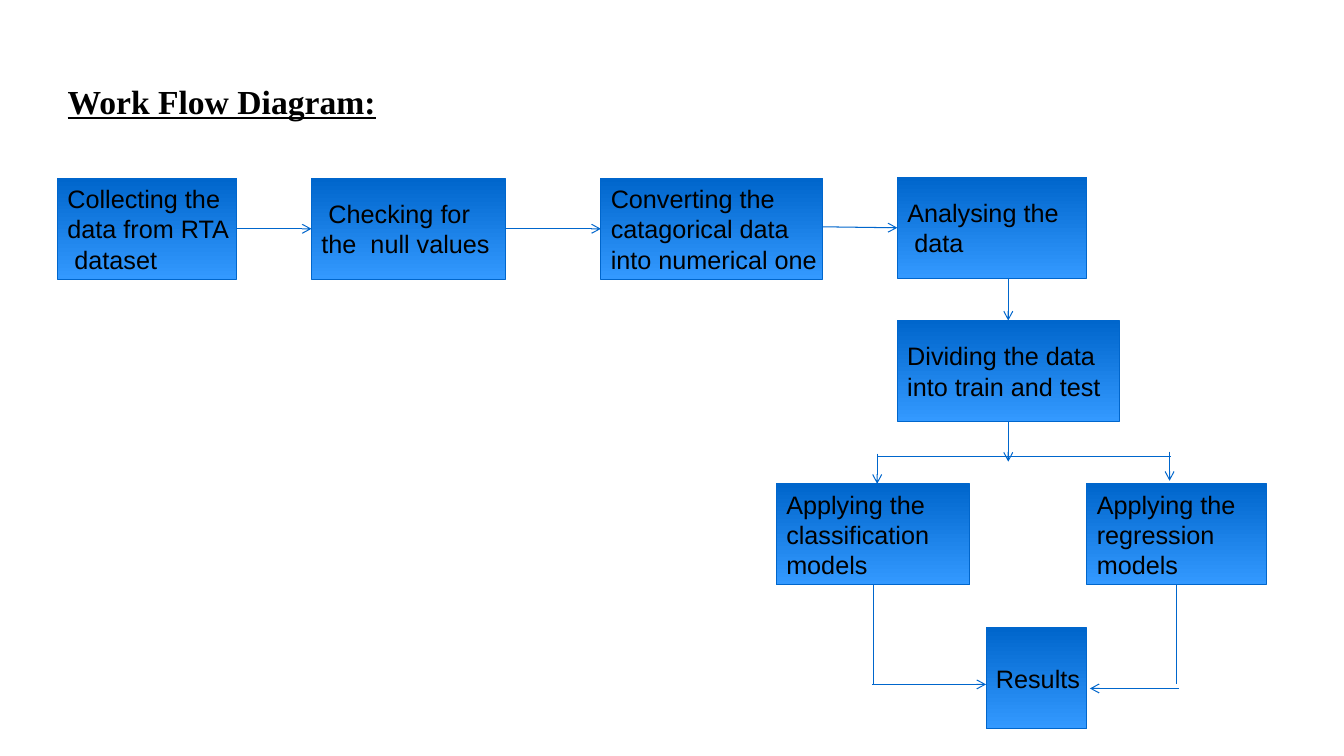
from dataclasses import dataclass

from lxml import etree
from pptx import Presentation
from pptx.dml.color import RGBColor
from pptx.enum.shapes import MSO_CONNECTOR, MSO_SHAPE
from pptx.enum.text import MSO_ANCHOR, MSO_AUTO_SIZE, PP_ALIGN
from pptx.oxml.ns import qn
from pptx.util import Pt

STRAIGHT = MSO_CONNECTOR.STRAIGHT
RECTANGLE = MSO_SHAPE.RECTANGLE
LEFT, RIGHT, TOP, BOTTOM = 1, 3, 0, 2
PX = 9144


@dataclass(frozen=True)
class Theme:
    dark: RGBColor = RGBColor(0x00, 0x66, 0xCC)
    light: RGBColor = RGBColor(0x33, 0x99, 0xFF)
    ink: RGBColor = RGBColor(0, 0, 0)
    title_font: str = "Times New Roman"
    body_font: str = "Arial"
    title_size: int = 24
    body_size: int = 18
    line_width: float = 0.75


THEME = Theme()
TITLE = "Work Flow Diagram:"
TITLE_BOX = (57, 75, 373, 50)
BOX_HEIGHT = 100

# name: (left, top, width, text)
STEPS = {
    "collect": (57, 177, 178, "Collecting the\ndata from RTA\n dataset"),
    "check": (309, 177, 192, " Checking for\nthe  null values"),
    "convert": (596, 177, 220, "Converting the\ncatagorical data\ninto numerical one"),
    "analyse": (890, 176, 188, "Analysing the\n data"),
    "divide": (890, 318, 220, "Dividing the data\ninto train and test"),
    "classify": (770, 480, 192, "Applying the\nclassification\nmodels"),
    "regress": (1078, 480, 178, "Applying the\nregression\nmodels"),
    "results": (978, 623, 100, "Results"),
}

# (begin, end, arrow); an end is a point or a (step, side) joint
LINKS = [
    (("collect", RIGHT), ("check", LEFT), True),
    (("check", RIGHT), ("convert", LEFT), True),
    ((816, 225), ("analyse", LEFT), True),
    ((1000, 277), ("divide", TOP), True),
    (("divide", BOTTOM), (1000, 458), True),
    ((871, 453), (1161, 453), False),
    ((870, 450), (870, 480), True),
    ((1160, 448), (1160, 477), True),
    (("classify", BOTTOM), (866, 679), False),
    ((865, 679), (978, 679), True),
    (("regress", BOTTOM), (1167, 679), False),
    ((1169, 683), (1081, 683), True),
]


def style_text(text_frame, font_name, size, heading=False):
    for paragraph in text_frame.paragraphs:
        paragraph.alignment = PP_ALIGN.LEFT
        for run in paragraph.runs:
            font = run.font
            font.name, font.size = font_name, Pt(size)
            font.color.rgb = THEME.ink
            font.bold = font.underline = heading


def add_title(slide):
    title = slide.shapes.title
    title.left, title.top, title.width, title.height = (n * PX for n in TITLE_BOX)
    text_frame = title.text_frame
    text_frame.text = TITLE
    text_frame.vertical_anchor = MSO_ANCHOR.TOP
    text_frame.auto_size = MSO_AUTO_SIZE.NONE
    style_text(text_frame, THEME.title_font, THEME.title_size, heading=True)


def add_step(slide, left, top, width, text):
    shape = slide.shapes.add_shape(
        RECTANGLE, *(n * PX for n in (left, top, width, BOX_HEIGHT)))
    shape.shadow.inherit = False
    shape.fill.gradient()
    shape.fill.gradient_angle = 270
    for stop, position, color in zip(
            shape.fill.gradient_stops, (0, 1), (THEME.dark, THEME.light)):
        stop.position = position
        stop.color.rgb = color
    shape.line.color.rgb = THEME.dark
    shape.line.width = Pt(THEME.line_width)
    text_frame = shape.text_frame
    text_frame.text = text
    text_frame.word_wrap = False
    text_frame.vertical_anchor = MSO_ANCHOR.MIDDLE
    style_text(text_frame, THEME.body_font, THEME.body_size)
    return shape


def is_joint(end):
    return end[0] in STEPS


def locate(end):
    if not is_joint(end):
        return [n * PX for n in end]
    left, top, width, _ = STEPS[end[0]]
    across, down = {TOP: (0.5, 0), LEFT: (0, 0.5),
                    BOTTOM: (0.5, 1), RIGHT: (1, 0.5)}[end[1]]
    return [int((left + across * width) * PX), int((top + down * BOX_HEIGHT) * PX)]


def add_link(slide, shapes, begin, end, arrow):
    connector = slide.shapes.add_connector(STRAIGHT, *locate(begin), *locate(end))
    if is_joint(begin):
        connector.begin_connect(shapes[begin[0]], begin[1])
    if is_joint(end):
        connector.end_connect(shapes[end[0]], end[1])
    connector.line.color.rgb = THEME.dark
    connector.line.width = Pt(THEME.line_width)
    properties = connector._element.spPr
    if arrow:
        etree.SubElement(properties.find(qn("a:ln")), qn("a:tailEnd"), type="arrow")
    etree.SubElement(properties, qn("a:effectLst"))


def main():
    presentation = Presentation()
    presentation.slide_width, presentation.slide_height = 1333 * PX, 750 * PX
    slide = presentation.slides.add_slide(presentation.slide_layouts[5])
    add_title(slide)
    shapes = {name: add_step(slide, *step) for name, step in STEPS.items()}
    for link in LINKS:
        add_link(slide, shapes, *link)
    presentation.save("out.pptx")


if __name__ == "__main__":
    main()
